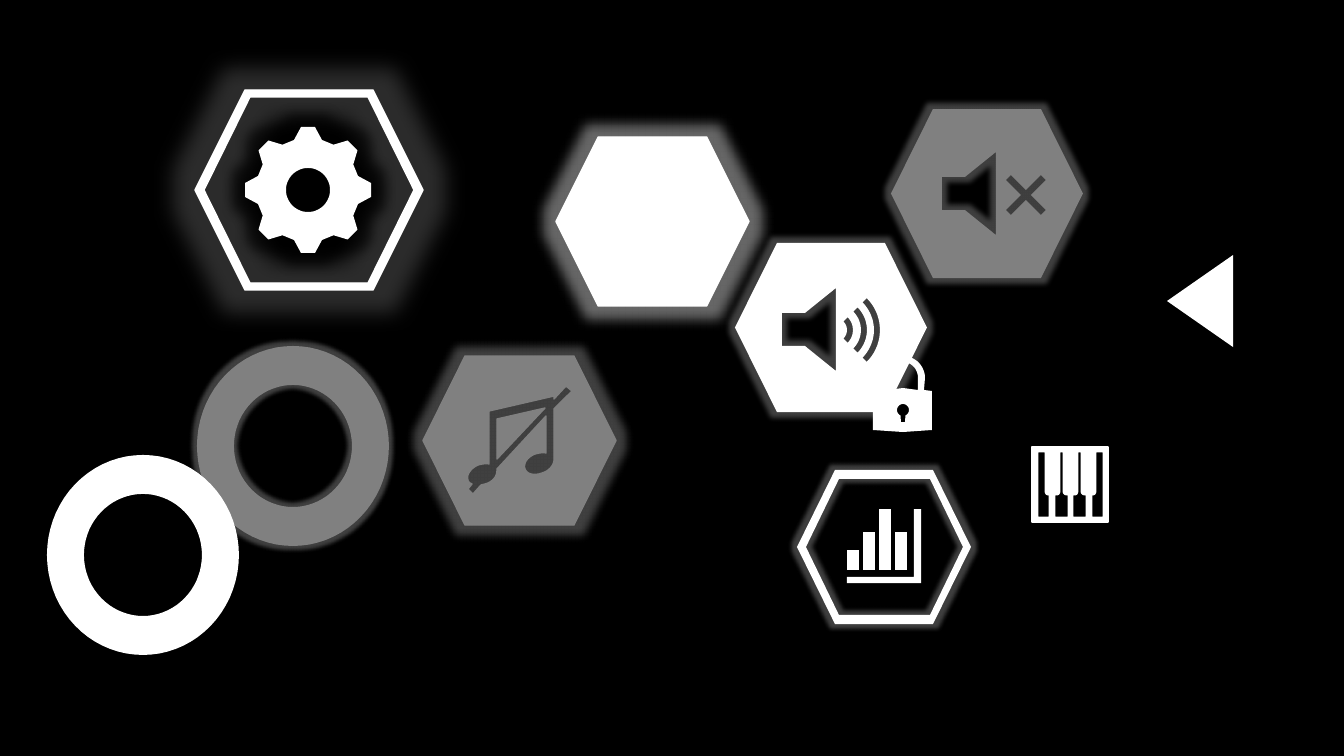
from math import cos, radians, sin

from lxml import etree
from pptx import Presentation
from pptx.dml.color import RGBColor
from pptx.enum.shapes import MSO_SHAPE
from pptx.oxml.ns import qn
from pptx.util import Pt

HEXAGON = MSO_SHAPE.HEXAGON
TRIANGLE = MSO_SHAPE.ISOSCELES_TRIANGLE

PX = 914400 / 100.8
FINE = 10
SLIDE_SIZE = (1344, 756)
BLACK, DARK, GRAY, WHITE = "000000", "404040", "808080", "FFFFFF"

BLANK_HEXAGON = (556, 137, 193, 169)
BACK_ARROW = (1154, 268, 92, 66)
SPEAKER = [(0, 0), (-31, 25), (-54, 25), (-54, 58), (-31, 58), (0, 83)]
SOUND_WAVES = [(12, 18), (26, 32), (39, 45)]
CROSS_ARM = [(-15, -20), (-20, -15), (-5, 0)]
GEAR_TOOTH = [(-14, -50), (-7, -63), (7, -63), (14, -50)]
BAR_TOPS = [550, 532, 509, 532]
BAR_LEFT, BAR_STEP, BAR_WIDTH, BAR_BOTTOM = 847, 16, 12, 570
CHART_FRAME = [(914, 509), (921, 509), (921, 583), (847, 583), (847, 577), (914, 577)]
NOTE_GAP = [(545, 408), (497, 459), (497, 419)]
NOTE = [
    (566, 386), (554, 399), (554, 396), (489, 411), (489, 464),
    (486, 463, 482, 464, 478, 465), (471, 468, 466, 475, 468, 480),
    (468, 481, 469, 482, 470, 483), (472, 484), (468, 489), (473, 494), (481, 485),
    (485, 484), (493, 482, 497, 476, 497, 471), (497, 469), (546, 416), (546, 453),
    (543, 452, 539, 453, 535, 454), (527, 457, 523, 464, 525, 469),
    (527, 474, 534, 476, 542, 473), (549, 471, 553, 466, 554, 461), (554, 409), (572, 391),
]
LOCK_BODY = [(924, 390), (932, 391), (932, 430), (903, 432), (873, 430), (873, 391), (881, 390)]
PIANO_FRAME = (1032, 447, 76, 75)
PIANO_AXIS = 2141
OUTER_KEY = [(1037, 451), (1046, 451), (1046, 491), (1046, 493, 1047, 494, 1048, 494),
             (1050, 494), (1050, 518), (1037, 518)]
INNER_KEY = [(1054, 494), (1057, 494), (1058, 494, 1059, 493, 1059, 491), (1059, 451),
             (1064, 451), (1064, 491), (1064, 493, 1065, 494, 1067, 494),
             (1069, 494), (1069, 518), (1054, 518)]


def color(value):
    return RGBColor.from_string(value)


def arc(x, y, width, height, start=0, end=360):
    steps = max(12, abs(end - start) // 5)
    angles = [radians(start + (end - start) * i / steps) for i in range(steps + 1)]
    return [(x + width * cos(a), y + height * sin(a)) for a in angles]


def hexagon(left, top, width, height, inset):
    right, bottom, middle = left + width, top + height, top + height / 2
    return [(left + inset, top), (right - inset, top), (right, middle),
            (right - inset, bottom), (left + inset, bottom), (left, middle)]


def rectangle(left, top, width, height):
    return [(left, top), (left + width, top), (left + width, top + height), (left, top + height)]


def rotated(points, angle):
    c, s = cos(radians(angle)), sin(radians(angle))
    return [(x * c - y * s, x * s + y * c) for x, y in points]


def moved(points, dx, dy=0):
    return [tuple(v + (dy if i % 2 else dx) for i, v in enumerate(p)) for p in points]


def mirrored(points, axis):
    return [tuple(v if i % 2 else axis - v for i, v in enumerate(p)) for p in points]


def flattened(contour):
    points = []
    for step in contour:
        if len(step) == 2:
            points.append(step)
            continue
        controls = [points[-1], step[:2], step[2:4], step[4:]]
        for t in (i / 8 for i in range(1, 9)):
            weights = [(1 - t) ** 3, 3 * t * (1 - t) ** 2, 3 * t * t * (1 - t), t ** 3]
            points.append(tuple(sum(w * p[k] for w, p in zip(weights, controls)) for k in (0, 1)))
    return points


def style(shape, fill, line=0, glow=None):
    shape.shadow.inherit = False
    shape.fill.solid()
    shape.fill.fore_color.rgb = color(fill)
    if line:
        shape.line.color.rgb = color(fill)
        shape.line.width = Pt(line)
    else:
        shape.line.fill.background()
    if glow:
        radius, tint, opacity = glow
        effects = shape._element.spPr.find(qn("a:effectLst"))
        halo = etree.SubElement(effects, qn("a:glow"), rad=str(round(radius * PX)))
        paint = etree.SubElement(halo, qn("a:srgbClr"), val=tint)
        etree.SubElement(paint, qn("a:alpha"), val=str(opacity * 1000))


def draw(shapes, contours, fill, **options):
    outlines = [[(x * FINE, y * FINE) for x, y in flattened(c)] for c in contours]
    builder = shapes.build_freeform(*outlines[0][0], scale=PX / FINE)
    for index, outline in enumerate(outlines):
        if index:
            builder.move_to(*outline[0])
        builder.add_line_segments(outline[1:], close=True)
    style(builder.convert_to_shape(), fill, **options)


def preset(shapes, kind, box, rotation=0, **options):
    shape = shapes.add_shape(kind, *(round(v * PX) for v in box))
    shape.rotation = rotation
    style(shape, WHITE, **options)


def ring(x, y):
    return [arc(x, y, 59, 61), arc(x, y, 96, 100)]


def main():
    presentation = Presentation()
    presentation.slide_width, presentation.slide_height = (round(v * PX) for v in SLIDE_SIZE)
    slide = presentation.slides.add_slide(presentation.slide_layouts[6])
    slide.background.fill.solid()
    slide.background.fill.fore_color.rgb = color(BLACK)
    shapes = slide.shapes

    draw(shapes, ring(293, 446), GRAY, glow=(8, WHITE, 25))

    settings = shapes.add_group_shape().shapes
    draw(settings, [hexagon(204, 97, 210, 186, 46), hexagon(195, 90, 228, 200, 50)],
         WHITE, line=1, glow=(42, WHITE, 17))
    teeth = [p for k in range(8) for p in rotated(GEAR_TOOTH, 45 * k)]
    draw(settings, [arc(308, 190, 22, 22), moved(teeth, 308, 190)], WHITE, glow=(25, BLACK, 60))

    preset(shapes, HEXAGON, BLANK_HEXAGON, line=1, glow=(25, WHITE, 40))

    waves = [arc(835, 330, far, far, -45, 45) + arc(835, 330, near, near, 45, -45)
             for near, far in SOUND_WAVES]
    draw(shapes, waves + [moved(SPEAKER, 836, 288), hexagon(735, 243, 192, 169, 42)],
         WHITE, glow=(11, DARK, 100))

    draw(shapes, [NOTE_GAP, NOTE, hexagon(423, 356, 193, 169, 42)],
         GRAY, line=1, glow=(18, WHITE, 25))

    cross = [p for k in range(4) for p in rotated(CROSS_ARM, -90 * k)]
    draw(shapes, [moved(cross, 1026, 195), moved(SPEAKER, 996, 152),
                  hexagon(891, 109, 192, 169, 42)], GRAY, glow=(11, DARK, 100))

    keyhole = arc(903, 410, 6, 6, 115, 425) + [(905, 422), (901, 422)]
    shackle_gap = arc(903, 378, 15, 16, 180, 360) + [(918, 390), (903, 388), (888, 390)]
    lock = arc(903, 378, 22, 22, 180, 360) + LOCK_BODY
    draw(shapes, [keyhole, shackle_gap, lock], WHITE)

    preset(shapes, TRIANGLE, BACK_ARROW, rotation=270)

    keys = [OUTER_KEY, INNER_KEY, moved(INNER_KEY, 18), mirrored(OUTER_KEY, PIANO_AXIS)]
    draw(shapes, [rectangle(*PIANO_FRAME)] + keys, WHITE, line=2)

    draw(shapes, ring(143, 555), WHITE)

    chart = shapes.add_group_shape().shapes
    draw(chart, [CHART_FRAME], WHITE)
    for index, top in enumerate(BAR_TOPS):
        left = BAR_LEFT + BAR_STEP * index
        draw(chart, [rectangle(left, top, BAR_WIDTH, BAR_BOTTOM - top)], WHITE)
    draw(chart, [hexagon(806, 479, 157, 136, 33), hexagon(797, 470, 174, 154, 38)],
         WHITE, glow=(9, WHITE, 25))

    presentation.save("out.pptx")


if __name__ == "__main__":
    main()
